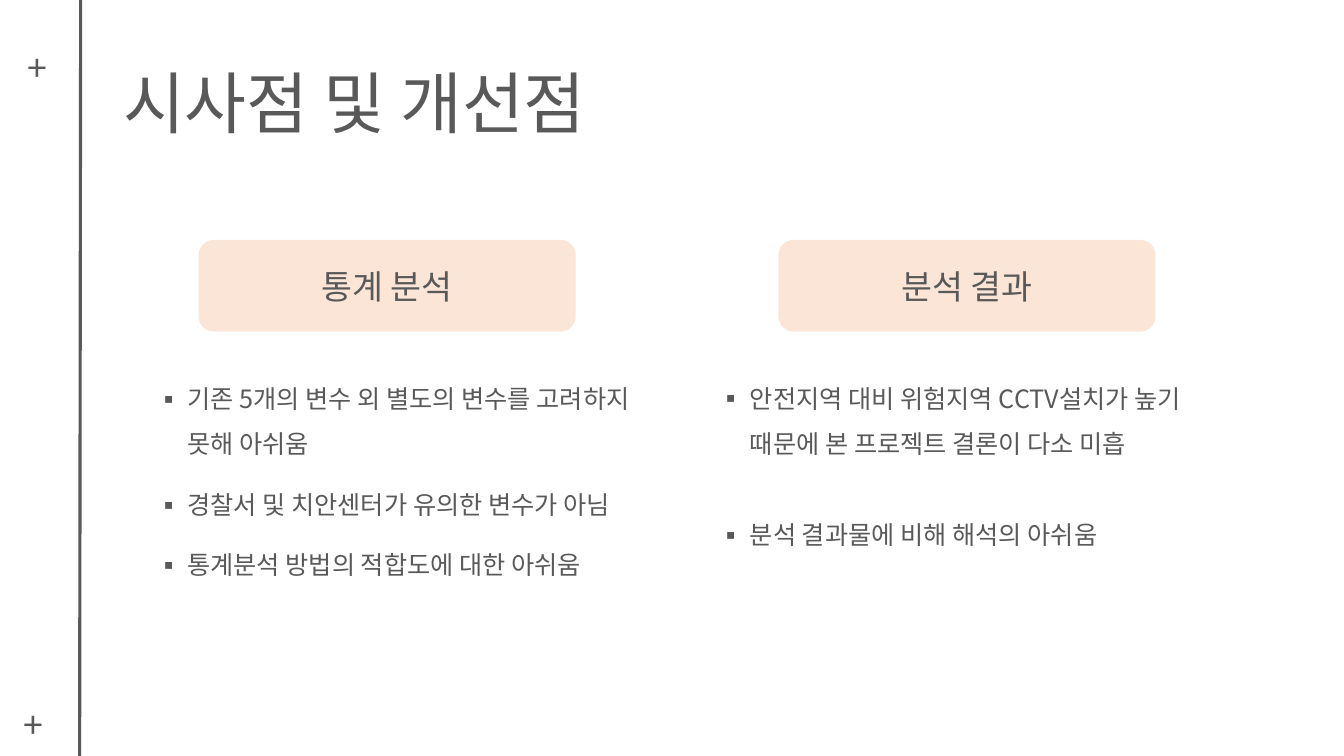
from lxml.etree import SubElement
from pptx import Presentation
from pptx.dml.color import RGBColor
from pptx.enum.shapes import MSO_CONNECTOR, MSO_SHAPE
from pptx.enum.text import MSO_ANCHOR as Anchor, MSO_AUTO_SIZE, PP_ALIGN as Align
from pptx.oxml.ns import qn
from pptx.util import Inches, Pt

FONT = "Noto Sans CJK KR"
COLOURS = {"ink": "595959", "peach": "FBE5D6"}
HEADING_SIZE = (3.74, 0.91)
COLUMNS = [
    {
        "heading": "통계 분석",
        "heading_at": (1.97, 2.38),
        "list_box": (1.45, 3.6, 5.42, 2.22),
        "gap": 21.7,
        "later_spacing": 1.0,
        "points": [
            "기존 5개의 변수 외 별도의 변수를 고려하지\v못해 아쉬움",
            "경찰서 및 치안센터가 유의한 변수가 아님",
            "통계분석 방법의 적합도에 대한 아쉬움",
        ],
    },
    {
        "heading": "분석 결과",
        "heading_at": (7.72, 2.38),
        "list_box": (7.03, 3.6, 5.12, 2.83),
        "gap": 32.5,
        "later_spacing": 1.5,
        "points": [
            "안전지역 대비 위험지역 CCTV설치가 높기 때문에 본 프로젝트 결론이 다소 미흡",
            "분석 결과물에 비해 해석의 아쉬움",
        ],
    },
]


def colour(name):
    return RGBColor.from_string(COLOURS[name])


def inches(box):
    return [Inches(length) for length in box]


def write(para, text, size, align=Align.LEFT, spacing=1.0, after=0, baseline=None):
    para.text = text
    para.alignment = align
    para.line_spacing = spacing
    para.space_before = Pt(0)
    para.space_after = Pt(after)
    for span in para.runs:
        span.font.size = Pt(size)
        span.font.name = FONT
        span.font.color.rgb = colour("ink")
        properties = span.font._element
        SubElement(properties, qn("a:ea")).set("typeface", FONT)
        if baseline is not None:
            properties.set("baseline", str(baseline * 1000))


def add_bullet(para, indent=0.31):
    properties = para._p.get_or_add_pPr()
    properties.set("marL", str(Inches(indent)))
    properties.set("indent", str(-Inches(indent)))
    SubElement(properties, qn("a:buFont")).set("typeface", FONT)
    SubElement(properties, qn("a:buChar")).set("char", "▪")


def add_margin(page):
    """Draw the rule down the left side and the plus signs beside it."""
    rule = page.shapes.add_connector(
        MSO_CONNECTOR.STRAIGHT, *inches((0.8, 0, 0.79, 7.5)))
    rule.line.color.rgb = colour("ink")
    rule.line.width = Pt(2.25)
    SubElement(rule._element.spPr, qn("a:effectLst"))
    for box in ((0.17, 0, 0.45, 0.59), (0.13, 6.51, 0.49, 0.59)):
        frame = page.shapes.add_textbox(*inches(box)).text_frame
        frame.word_wrap = True
        write(frame.paragraphs[0], "+", 44, baseline=-25)


def add_title(page, box, text):
    title = page.shapes.title
    title.left, title.top, title.width, title.height = inches(box)
    frame = title.text_frame
    frame.auto_size = MSO_AUTO_SIZE.NONE
    frame.vertical_anchor = Anchor.BOTTOM
    write(frame.paragraphs[0], text, 48, spacing=1.5)


def add_heading(page, box, text):
    heading = page.shapes.add_shape(MSO_SHAPE.ROUNDED_RECTANGLE, *inches(box))
    heading.shadow.inherit = False
    heading.fill.solid()
    heading.fill.fore_color.rgb = colour("peach")
    heading.line.fill.background()
    heading.text_frame.vertical_anchor = Anchor.MIDDLE
    write(heading.text_frame.paragraphs[0], text, 24, align=Align.CENTER)


def add_points(page, box, points, gap, later_spacing):
    frame = page.shapes.add_textbox(*inches(box)).text_frame
    frame.word_wrap = True
    for index, point in enumerate(points):
        para = frame.add_paragraph() if index else frame.paragraphs[0]
        spacing = later_spacing if index else 1.5
        write(para, point, 18, spacing=spacing, after=gap)
        add_bullet(para)


def main():
    deck = Presentation()
    deck.slide_width, deck.slide_height = inches((13.33, 7.5))
    page = deck.slides.add_slide(deck.slide_layouts[5])
    add_margin(page)
    add_title(page, (1.12, 0, 9.77, 1.46), "시사점 및 개선점")
    for column in COLUMNS:
        add_heading(page, column["heading_at"] + HEADING_SIZE, column["heading"])
        add_points(page, column["list_box"], column["points"],
                   column["gap"], column["later_spacing"])
    deck.save("out.pptx")


if __name__ == "__main__":
    main()
